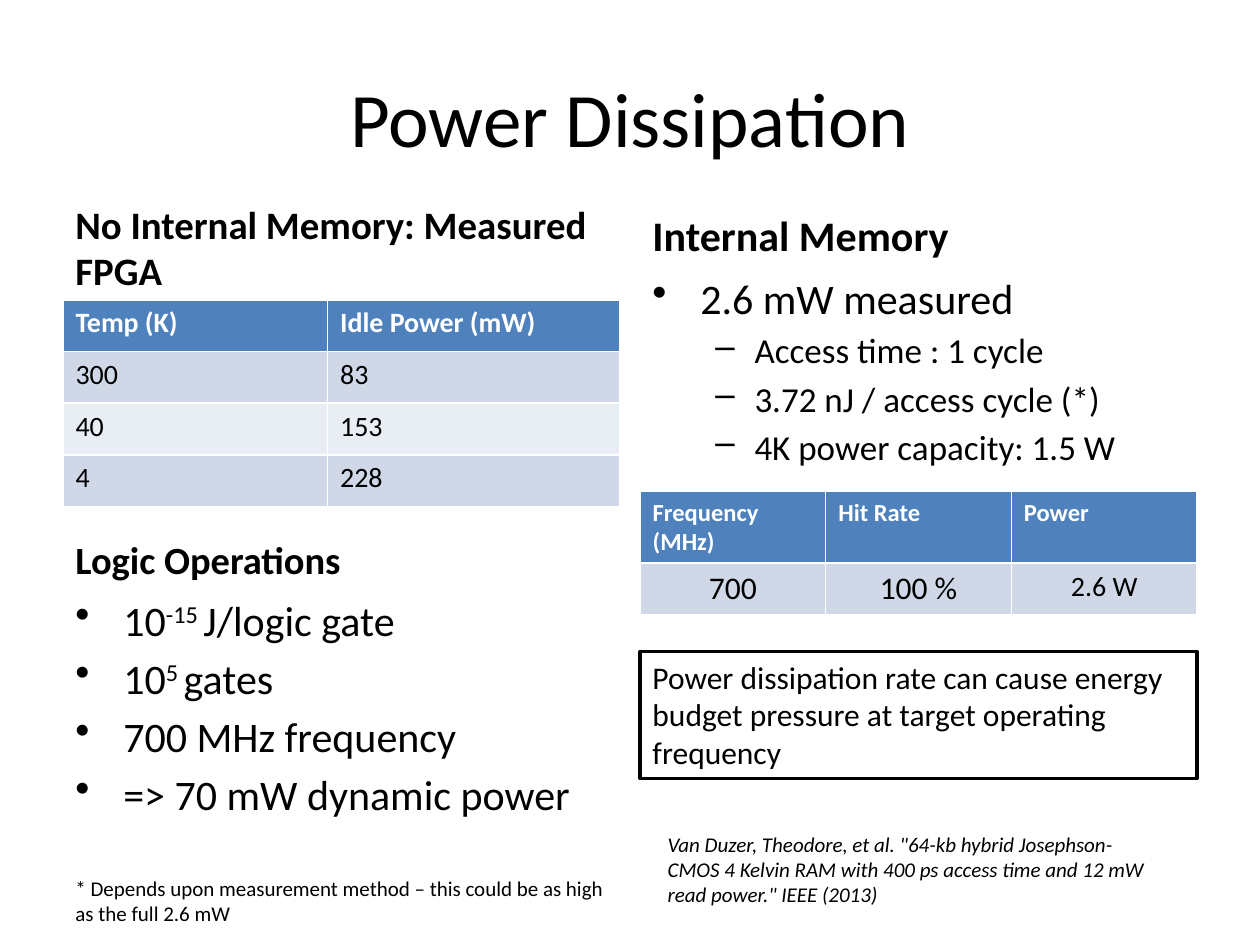
from pptx import Presentation
from pptx.dml.color import RGBColor
from pptx.enum.shapes import MSO_SHAPE
from pptx.enum.text import MSO_ANCHOR, PP_ALIGN
from pptx.oxml.ns import qn
from pptx.util import Inches, Pt
from lxml import etree

RECT = MSO_SHAPE.RECTANGLE
TOP, MID, LOW = MSO_ANCHOR.TOP, MSO_ANCHOR.MIDDLE, MSO_ANCHOR.BOTTOM
LEFT, CENTER = PP_ALIGN.LEFT, PP_ALIGN.CENTER

THEME = {
    "font": "Calibri",
    "ink": RGBColor(0, 0, 0),
    "paper": RGBColor(255, 255, 255),
    "head": RGBColor.from_string("4F81BD"),
    "bands": [RGBColor.from_string("D0D8E8"), RGBColor.from_string("E9EDF4")],
    "title": 44,
    "levels": [24, 20],
    "note": 12,
    "call": 18,
}
BULLETS = [("•", 0.38, 0.38), ("–", 0.81, 0.31)]
COL_W = 4.42
COL_A, COL_B = 0.5, 5.08

TITLE = "Power Dissipation"
HEADS = [
    ("No Internal Memory: Measured FPGA", COL_A, 1.68, 0.7, 22.2),
    ("Internal Memory", COL_B, 1.41, 0.7, 24),
    ("Logic Operations", COL_A, 4.31, 0.36, 22),
]
LISTS = [
    (COL_B, 2.11, 4.32, [
        (0, ["2.6 mW measured"]),
        (1, ["Access time : 1 cycle"]),
        (1, ["3.72 nJ / access cycle (*)"]),
        (1, ["4K power capacity: 1.5 W"]),
    ]),
    (COL_A, 4.67, 2.23, [
        (0, ["10", "-15 ", "J/logic gate"]),
        (0, ["10", "5 ", "gates"]),
        (0, ["700 MHz frequency"]),
        (0, ["=> 70 mW dynamic power"]),
    ]),
]
TABLES = [
    {
        "at": (COL_A, 2.38),
        "cols": [2.1, 2.32],
        "rows": [0.41] * 4,
        "data": [["Temp (K)", "Idle Power (mW)"],
                 ["300", "83"], ["40", "153"], ["4", "228"]],
        "head": 16, "sizes": [16, 16], "align": LEFT,
    },
    {
        "at": (COL_B, 3.9),
        "cols": [COL_W / 3] * 3,
        "rows": [0.57, 0.41],
        "data": [["Frequency (MHz)", "Hit Rate", "Power"],
                 ["700", "100 %", "2.6 W"]],
        "head": 14, "sizes": [18, 18, 16], "align": CENTER,
    },
]
CALL = ("Power dissipation rate can cause energy budget pressure "
        "at target operating frequency")
NOTES = [
    ('Van Duzer, Theodore, et al. "64-kb hybrid Josephson-CMOS 4 Kelvin RAM '
     'with 400 ps access time and 12 mW read power." IEEE (2013)',
     5.2, 6.55, 4.05, 0.71, True),
    ("* Depends upon measurement method – this could be as high as the full 2.6 mW",
     COL_A, 6.9, COL_W, 0.5, False),
]


def style(para, size, color=THEME["ink"], bold=False, italic=False, align=LEFT):
    font = para.font
    font.name, font.size = THEME["font"], Pt(size)
    font.bold, font.italic = bold, italic
    font.color.rgb = color
    para.alignment = align


def add_box(slide, x, y, w, h, anchor=TOP):
    box = slide.shapes.add_textbox(Inches(x), Inches(y), Inches(w), Inches(h))
    frame = box.text_frame
    frame.word_wrap = True
    frame.vertical_anchor = anchor
    return frame


def add_list(slide, x, y, h, items):
    frame = add_box(slide, x, y, COL_W, h)
    for i, (level, parts) in enumerate(items):
        para = frame.add_paragraph() if i else frame.paragraphs[0]
        size = THEME["levels"][level]
        para.level = level
        style(para, size)
        para.space_before = Pt(round(size * 0.18, 1))
        mark, left, hang = BULLETS[level]
        props = para._p.get_or_add_pPr()
        props.set("marL", str(Inches(left)))
        props.set("indent", str(-Inches(hang)))
        bullet = etree.Element(qn("a:buChar"), char=mark)
        props.find(qn("a:defRPr")).addprevious(bullet)
        for k, text in enumerate(parts):
            run = para.add_run()
            run.text = text
            if k == 1:
                run.font._element.set("baseline", "30000")


def add_grid(slide, spec):
    x, y = spec["at"]
    cols, rows = spec["cols"], spec["rows"]
    table = slide.shapes.add_table(
        len(rows), len(cols), Inches(x), Inches(y),
        Inches(sum(cols)), Inches(sum(rows))).table
    for col, width in zip(table.columns, cols):
        col.width = Inches(width)
    for row, height in zip(table.rows, rows):
        row.height = Inches(height)
    for r, line in enumerate(spec["data"]):
        for c, text in enumerate(line):
            cell = table.cell(r, c)
            cell.text = text
            cell.fill.solid()
            para = cell.text_frame.paragraphs[0]
            if r == 0:
                cell.fill.fore_color.rgb = THEME["head"]
                style(para, spec["head"], THEME["paper"], bold=True)
            else:
                cell.fill.fore_color.rgb = THEME["bands"][(r - 1) % 2]
                style(para, spec["sizes"][c], align=spec["align"])


def add_call(slide):
    box = slide.shapes.add_shape(
        RECT, Inches(COL_B), Inches(5.17), Inches(COL_W), Inches(1.01))
    box.shadow.inherit = False
    box.fill.solid()
    box.fill.fore_color.rgb = THEME["paper"]
    box.line.color.rgb = THEME["ink"]
    box.line.width = Pt(2)
    frame = box.text_frame
    frame.word_wrap = True
    frame.vertical_anchor = TOP
    frame.text = CALL
    style(frame.paragraphs[0], THEME["call"])


def main():
    deck = Presentation()
    deck.slide_width, deck.slide_height = Inches(10), Inches(7.5)
    slide = deck.slides.add_slide(deck.slide_layouts[5])
    title = slide.shapes.title
    title.left, title.top = Inches(0.5), Inches(0.3)
    title.width, title.height = Inches(9), Inches(1.25)
    title.text_frame.text = TITLE
    title.text_frame.vertical_anchor = MID
    style(title.text_frame.paragraphs[0], THEME["title"], align=CENTER)

    for text, x, y, h, size in HEADS:
        frame = add_box(slide, x, y, COL_W, h, LOW)
        frame.text = text
        style(frame.paragraphs[0], size, bold=True)
    for item in LISTS:
        add_list(slide, *item)
    for spec in TABLES:
        add_grid(slide, spec)
    add_call(slide)
    for text, x, y, w, h, italic in NOTES:
        frame = add_box(slide, x, y, w, h)
        frame.text = text
        style(frame.paragraphs[0], THEME["note"], italic=italic)
    deck.save("out.pptx")


if __name__ == "__main__":
    main()
